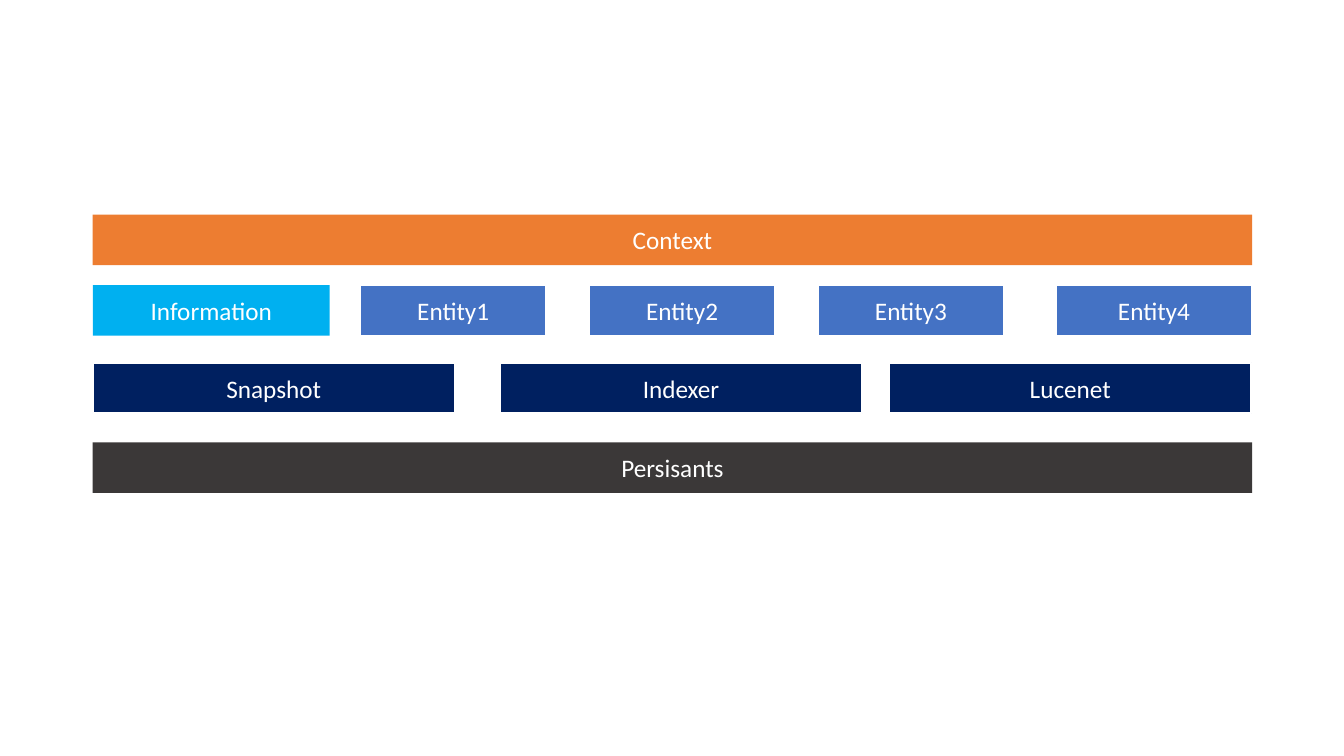
"""Build a slide of a layered storage architecture."""
from pptx import Presentation
from pptx.dml.color import RGBColor
from pptx.enum.shapes import MSO_SHAPE
from pptx.enum.text import MSO_ANCHOR, PP_ALIGN
from pptx.util import Inches, Pt

WHITE = RGBColor(0xFF, 0xFF, 0xFF)
ORANGE = RGBColor(0xED, 0x7D, 0x31)
CYAN = RGBColor(0x00, 0xB0, 0xF0)
BLUE = RGBColor(0x44, 0x72, 0xC4)
NAVY = RGBColor(0x00, 0x20, 0x60)
CHARCOAL = RGBColor(0x3B, 0x38, 0x38)

LEFT = 0.92
FULL_WIDTH = 11.5
BLOCK_HEIGHT = 0.5
CONTEXT_TOP, ENTITY_TOP, SERVICE_TOP, STORAGE_TOP = 2.13, 2.83, 3.6, 4.39
ENTITIES = [("Entity1", 3.57, 1.85), ("Entity2", 5.84, 1.85),
            ("Entity3", 8.11, 1.85), ("Entity4", 10.47, 1.95)]
SERVICES = [("Snapshot", LEFT), ("Indexer", 4.96), ("Lucenet", 8.82)]
SERVICE_WIDTH = 3.59


def add_block(slide, label, left, top, width, color, outlined=False):
    """Add a filled block with a centred label."""
    shape = slide.shapes.add_shape(
        MSO_SHAPE.ROUNDED_RECTANGLE, Inches(left), Inches(top),
        Inches(width), Inches(BLOCK_HEIGHT))
    shape.adjustments[0] = 0
    shape.shadow.inherit = False
    shape.fill.solid()
    shape.fill.fore_color.rgb = color
    if outlined:
        shape.line.color.rgb = WHITE
        shape.line.width = Pt(1.5)
    else:
        shape.line.fill.background()
    shape.text_frame.vertical_anchor = MSO_ANCHOR.MIDDLE
    paragraph = shape.text_frame.paragraphs[0]
    paragraph.text = label
    paragraph.alignment = PP_ALIGN.CENTER
    paragraph.font.name = "Calibri"
    paragraph.font.size = Pt(18)
    paragraph.font.color.rgb = WHITE


def main():
    """Create the presentation and save it."""
    presentation = Presentation()
    presentation.slide_width = Inches(13.33)
    presentation.slide_height = Inches(7.5)
    slide = presentation.slides.add_slide(presentation.slide_layouts[6])

    add_block(slide, "Context", LEFT, CONTEXT_TOP, FULL_WIDTH, ORANGE)
    add_block(slide, "Information", LEFT, ENTITY_TOP, 2.35, CYAN)
    for label, left, width in ENTITIES:
        add_block(slide, label, left, ENTITY_TOP, width, BLUE, outlined=True)
    for label, left in SERVICES:
        add_block(slide, label, left, SERVICE_TOP, SERVICE_WIDTH, NAVY, outlined=True)
    add_block(slide, "Persisants", LEFT, STORAGE_TOP, FULL_WIDTH, CHARCOAL)

    presentation.save("out.pptx")


if __name__ == "__main__":
    main()
